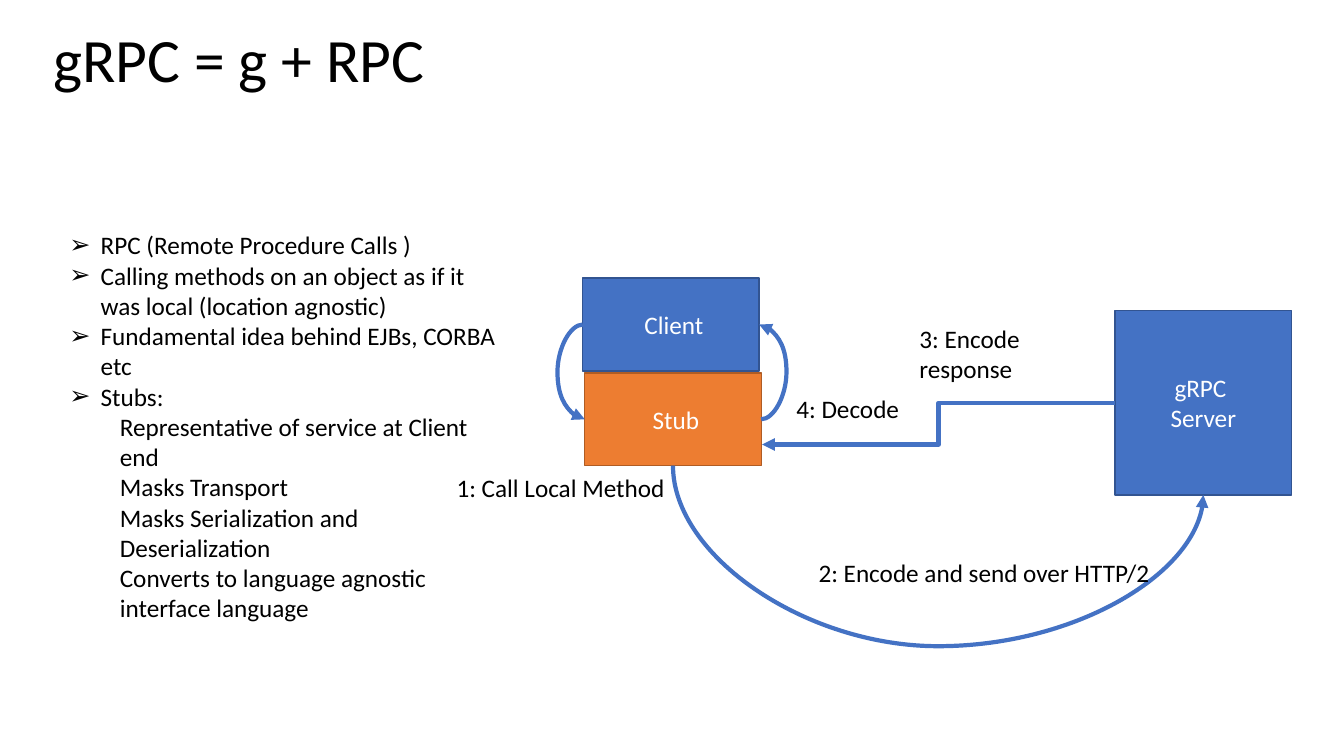
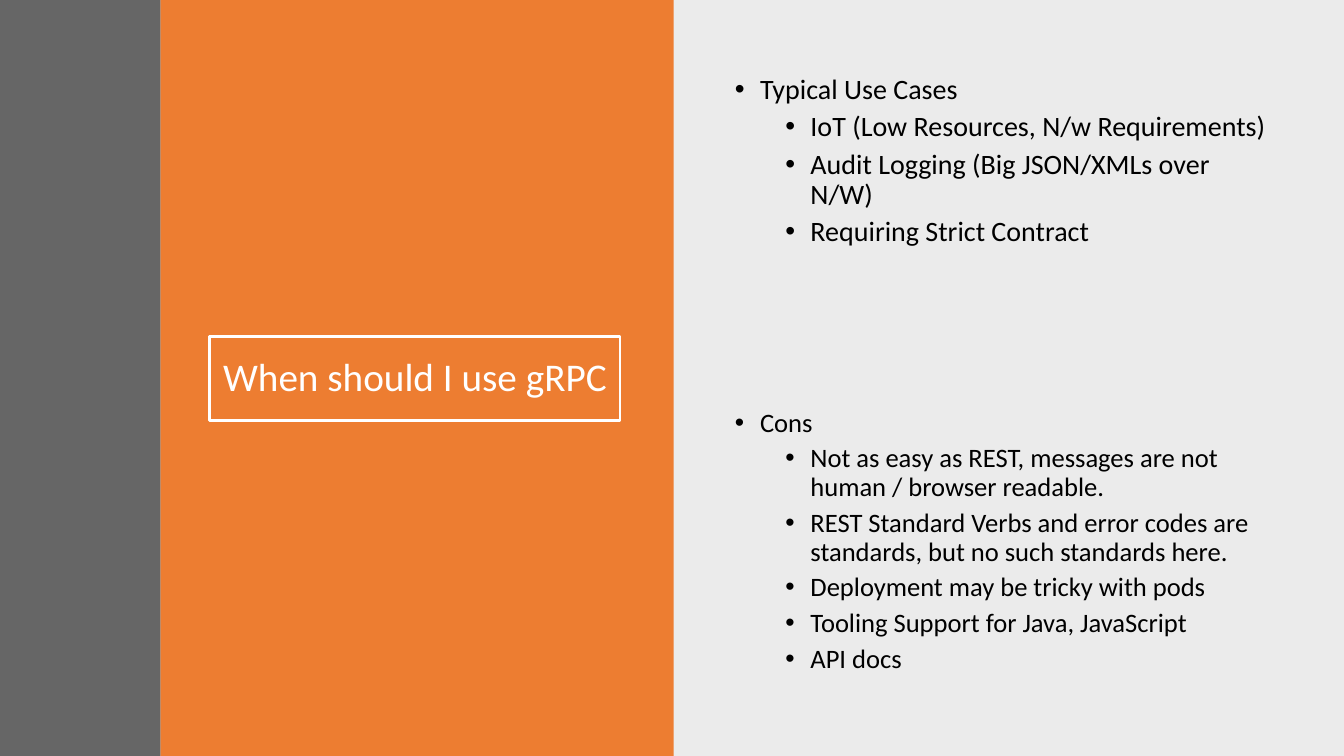
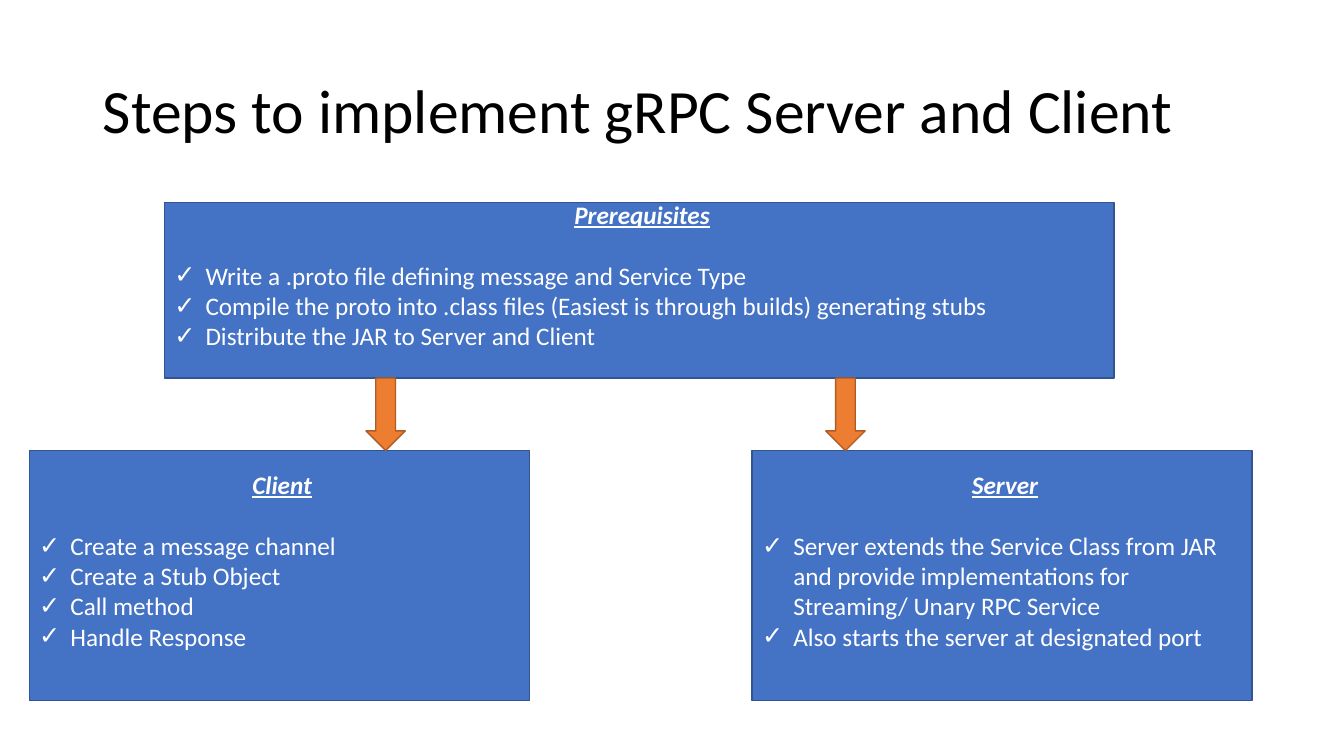
from dataclasses import dataclass

from lxml import etree
from pptx import Presentation
from pptx.dml.color import RGBColor
from pptx.enum import shapes, text
from pptx.oxml.ns import qn
from pptx.util import Inches, Pt


@dataclass(frozen=True)
class Theme:
    font: str = "Calibri"
    blue: str = "4472C4"
    blue_edge: str = "325491"
    orange: str = "ED7D31"
    orange_edge: str = "AF5C24"
    black: str = "000000"
    white: str = "FFFFFF"
    charcoal: str = "404040"
    title: int = 44
    panel_title: int = 28
    body: int = 18
    use_cases: int = 20
    cons: int = 19


@dataclass(frozen=True)
class Level:
    bullet: str
    margin: float
    hanging: float
    before: int = 0
    spacing: float = 1.0


T = Theme()
EDGES = {T.blue: T.blue_edge, T.orange: T.orange_edge}
ARROW_LIST = (Level("➢", 0.31, 0.31), Level("", 0.5, 0))
DOT_LIST = (Level("•", 0.25, 0.25, 10, 0.9), Level("•", 0.75, 0.25, 5, 0.9))
CHECK_LIST = (Level("✓", 0.31, 0.31),)
LINE_HEIGHT = 22  # points, one line of body text
LEFT, BOTTOM = 1, 2  # connection sites of a rectangle
RIGHT = 3


def rgb(value):
    return RGBColor.from_string(value)


def sub(parent, tag, **attrs):
    return etree.SubElement(parent, qn(tag), attrs)


def add_run(p, words, size, color, **style):
    r = p.add_run()
    r.text = words
    f = r.font
    f.name, f.size, f.color.rgb = T.font, Pt(size), rgb(color)
    for name, value in style.items():
        setattr(f, name, value)


def next_paragraph(tf):
    """Return the unused first paragraph, or a new one."""
    first = tf.paragraphs[0]
    return tf.add_paragraph() if first.runs else first


def add_list(tf, items, levels, size, color):
    """Write items, each a (depth, words) pair."""
    for depth, words in items:
        level = levels[depth]
        p = next_paragraph(tf)
        p.level = depth
        p.alignment = text.PP_ALIGN.LEFT
        p.space_before, p.line_spacing = Pt(level.before), level.spacing
        pr = p._p.get_or_add_pPr()
        pr.set("marL", str(Inches(level.margin)))
        pr.set("indent", str(-Inches(level.hanging)))
        if level.bullet:
            sub(pr, "a:buFont", typeface="Arial")
            sub(pr, "a:buChar", char=level.bullet)
        else:
            sub(pr, "a:buNone")
        add_run(p, words, size, color)


def set_title(slide, words, at, size=T.title, color=T.black,
              align=text.PP_ALIGN.LEFT, border=None):
    """Format the title placeholder and bring it to the front."""
    sp = slide.shapes.title
    sp.left, sp.top, sp.width, sp.height = map(Inches, at)
    slide.shapes._spTree.append(sp._element)
    if border:
        sp.line.color.rgb, sp.line.width = rgb(border), Pt(2)
    tf = sp.text_frame
    tf.word_wrap, tf.auto_size = True, text.MSO_AUTO_SIZE.NONE
    tf.vertical_anchor = text.MSO_ANCHOR.MIDDLE
    p = tf.paragraphs[0]
    p.alignment, p.line_spacing = align, 0.9
    add_run(p, words, size, color)


def add_text_box(slide, at):
    tf = slide.shapes.add_textbox(*map(Inches, at)).text_frame
    tf.word_wrap = True
    return tf


def add_label(slide, words, at):
    add_run(add_text_box(slide, at).paragraphs[0], words, T.body, T.black)


def add_block(slide, at, fill, kind=shapes.MSO_SHAPE.RECTANGLE, alpha=None):
    """Add a filled shape; theme accents get their darker edge."""
    sp = slide.shapes.add_shape(kind, *map(Inches, at))
    sp.shadow.inherit = False
    sp.fill.solid()
    sp.fill.fore_color.rgb = rgb(fill)
    if alpha:
        color = sp._element.spPr.find(".//" + qn("a:srgbClr"))
        sub(color, "a:alpha", val=str(alpha * 1000))
    sp.line.fill.background()
    return sp


def add_edged(slide, at, fill, kind=shapes.MSO_SHAPE.RECTANGLE):
    sp = add_block(slide, at, fill, kind)
    sp.line.color.rgb, sp.line.width = rgb(EDGES[fill]), Pt(1)
    tf = sp.text_frame
    tf.word_wrap, tf.vertical_anchor = True, text.MSO_ANCHOR.MIDDLE
    return sp


def add_node(slide, at, fill, *lines):
    sp = add_edged(slide, at, fill)
    for words in lines:
        p = next_paragraph(sp.text_frame)
        p.alignment = text.PP_ALIGN.CENTER
        add_run(p, words, T.body, T.white)
    return sp


def add_step_box(slide, at, heading, steps):
    tf = add_edged(slide, at, T.blue).text_frame
    tf.margin_bottom = Inches(0.05) + Pt(LINE_HEIGHT)
    p = tf.paragraphs[0]
    p.alignment, p.space_after = text.PP_ALIGN.CENTER, Pt(LINE_HEIGHT)
    add_run(p, " ", T.body, T.white)
    add_run(p, heading, T.body, T.white, bold=True, italic=True, underline=True)
    add_list(tf, [(0, step) for step in steps], CHECK_LIST, T.body, T.white)


def add_arrow(slide, kind, source, site, target=None, target_site=None, end=(0, 0)):
    """Draw an arrow from a site of source to a site of target, or to end."""
    c = slide.shapes.add_connector(kind, 0, 0, *map(Inches, end))
    c.begin_connect(source, site)
    if target is not None:
        c.end_connect(target, target_site)
    c.line.color.rgb, c.line.width = rgb(T.blue), Pt(3)
    pr = c._element.spPr
    sub(pr.find(qn("a:ln")), "a:tailEnd", type="triangle")
    sub(pr, "a:effectLst")
    return c


def set_bend(c, ratio):
    """Place the bend at a ratio of the connector's own width."""
    guides = c._element.spPr.find(qn("a:prstGeom")).find(qn("a:avLst"))
    sub(guides, "a:gd", name="adj1", fmla=f"val {round(ratio * 100000)}")


def bulge_sideways(c, reach):
    set_bend(c, reach / (c.end_x - c.begin_x))


def bulge_down(c, reach):
    """Turn a connector running right and down so that it leaves downwards."""
    x, y, dx, dy = c.left, c.top, c.width, c.height
    c.left, c.top = x + (dx - dy) // 2, y + (dy - dx) // 2
    c.width, c.height = dy, dx
    xfrm = c._element.spPr.find(qn("a:xfrm"))
    xfrm.set("rot", str(270 * 60000))
    xfrm.set("flipH", "1")
    set_bend(c, reach / dy)


def build_overview(slide):
    set_title(slide, "gRPC = g + RPC", (0.43, -0.1, 11.5, 1.45))
    client = add_node(slide, (5.78, 2.76, 1.75, 0.92), T.blue, " Client")
    stub = add_node(slide, (5.8, 3.7, 1.75, 0.92), T.orange, " Stub")
    server = add_node(slide, (11.06, 3.08, 1.75, 1.83), T.blue, "gRPC ", "Server")

    curve, elbow = shapes.MSO_CONNECTOR.CURVE, shapes.MSO_CONNECTOR.ELBOW
    bulge_sideways(add_arrow(slide, curve, client, LEFT, stub, LEFT), -Inches(0.25))
    bulge_sideways(add_arrow(slide, curve, stub, RIGHT, client, RIGHT), Inches(0.25))
    bulge_down(add_arrow(slide, curve, stub, BOTTOM, server, BOTTOM), Inches(1.79))
    add_arrow(slide, elbow, server, LEFT, end=(7.56, 4.41))

    for words, at in (
        ("1: Call Local Method", (4.43, 4.64, 2.73, 0.4)),
        ("2: Encode and send over HTTP/2", (8.02, 5.48, 3.51, 0.71)),
        ("3: Encode response", (9.02, 3.16, 2.17, 0.71)),
        ("4: Decode", (7.8, 3.85, 1.5, 0.4)),
    ):
        add_label(slide, words, at)

    add_list(add_text_box(slide, (0.59, 2.23, 4.48, 4.34)), [
        (0, "RPC (Remote Procedure Calls )"),
        (0, "Calling methods on an object as if it was local (location agnostic)"),
        (0, "Fundamental idea behind EJBs, CORBA etc"),
        (0, "Stubs:"),
        (1, "Representative of service at Client end"),
        (1, "Masks Transport"),
        (1, "Masks Serialization and Deserialization"),
        (1, "Converts to language agnostic interface language"),
    ], ARROW_LIST, T.body, T.black)


def build_usage(slide):
    add_block(slide, (6.67, 0, 6.67, 7.5), T.black, alpha=8)
    add_block(slide, (1.59, 0, 5.09, 7.5), T.orange)
    add_block(slide, (0, 0, 1.59, 7.5), T.charcoal, alpha=80)
    set_title(slide, "When should I use gRPC", (2.08, 3.34, 4.07, 0.83),
              T.panel_title, T.white, text.PP_ALIGN.CENTER, border=T.white)
    for top, size, heading, points in (
        (0.7, T.use_cases, "Typical Use Cases", (
            "IoT (Low Resources, N/w Requirements)",
            "Audit Logging (Big JSON/XMLs over N/W)",
            "Requiring Strict Contract",
        )),
        (4.01, T.cons, "Cons", (
            "Not as easy as REST, messages are not human / browser readable.",
            "REST Standard Verbs and error codes are standards, "
            "but no such standards here.",
            "Deployment may be tricky with pods",
            "Tooling Support for Java, JavaScript",
            "API docs",
        )),
    ):
        items = [(0, heading)] + [(1, point) for point in points]
        tf = add_text_box(slide, (7.19, top, 5.53, 2.79))
        add_list(tf, items, DOT_LIST, size, T.black)


def build_steps(slide):
    set_title(slide, "Steps to implement gRPC Server and Client",
              (0.92, 0.4, 11.5, 1.45))
    add_step_box(slide, (0.29, 4.47, 4.96, 2.48), "Client", (
        "Create a message channel",
        "Create a Stub Object",
        "Call method",
        "Handle Response",
    ))
    add_step_box(slide, (7.46, 4.47, 4.96, 2.48), "Server", (
        "Server extends the Service Class from JAR and provide "
        "implementations for Streaming/ Unary RPC Service",
        "Also starts the server at designated port",
    ))
    add_step_box(slide, (1.63, 2.01, 9.42, 1.74), "Prerequisites", (
        "Write a .proto file defining message and Service Type",
        "Compile the proto into .class files (Easiest is through builds) "
        "generating stubs",
        "Distribute the JAR to Server and Client",
    ))
    for left in (3.63, 8.19):
        add_edged(slide, (left, 3.75, 0.39, 0.72), T.orange,
                  shapes.MSO_SHAPE.DOWN_ARROW)


def main():
    prs = Presentation()
    prs.slide_width, prs.slide_height = Inches(13.33), Inches(7.5)
    title_only = prs.slide_layouts[5]
    for build in (build_overview, build_usage, build_steps):
        build(prs.slides.add_slide(title_only))
    prs.save("out.pptx")


if __name__ == "__main__":
    main()
